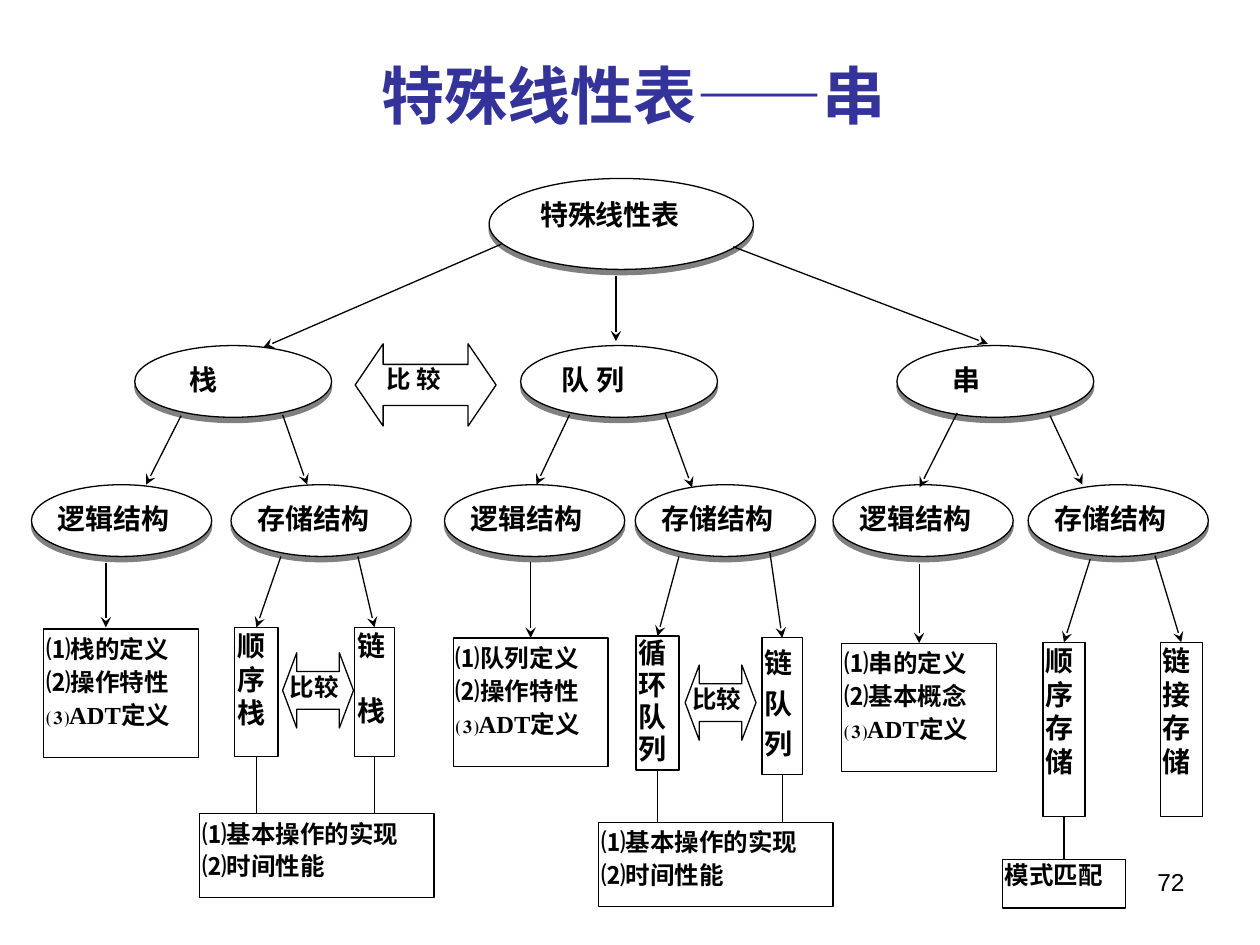
from lxml.etree import SubElement
from pptx import Presentation
from pptx.dml.color import RGBColor
from pptx.enum.shapes import MSO_CONNECTOR, MSO_SHAPE
from pptx.enum.text import MSO_ANCHOR, PP_ALIGN
from pptx.oxml.ns import qn
from pptx.util import Pt

BLACK = RGBColor(0, 0, 0)
WHITE = RGBColor(255, 255, 255)
GREY = RGBColor(0x80, 0x80, 0x80)
INDIGO = RGBColor(0x33, 0x33, 0x99)
SERIF, SANS = "Times New Roman", "Arial"
TOP, BOTTOM = 0, 2
BOX_INSETS = (1.5, 0.75, 1.5, 0.75)
SUBTREES = [
    {   # stack
        "topic": ("栈", 77, 8),
        "branches": [((103.5, 237.5), (83.5, 277)), ((161.5, 237), (175.5, 277))],
        "logic_x": 18, "storage_x": 132,
        "definition": (25, 359.5, ["⑴栈的定义", "⑵操作特性", "⑶ADT定义"]),
        "definition_arrow": ((60.5, 322), (60.5, 358.5)),
        "kinds": [(["顺序栈"], (134, 358.5, 25, 74), 1, (160.5, 318)),
                  (["链", "栈"], (202.5, 358.5, 23, 74), 1, (204.5, 318))],
        "compare": (161.5, 373), "summary": (114, 465),
    },
    {   # queue
        "topic": ("队 列", 297.5, 0),
        "branches": [((325.5, 237), (306.5, 277)), ((380, 236), (395.5, 278.5))],
        "logic_x": 254, "storage_x": 363,
        "definition": (259, 364.5, ["⑴队列定义", "⑵操作特性", "⑶ADT定义"]),
        "definition_arrow": ((303.25, 321), None),
        "kinds": [(["循环队列"], (363.5, 363.5, 24.5, 76.5), 0.96, (388, 318)),
                  (["链队列"], (435.5, 364.5, 23, 78), 1.2, (440, 316))],
        "compare": (391.5, 380), "summary": (342, 470),
    },
    {   # string
        "topic": ("串", 512.5, 8),
        "branches": [((547, 236), (525.5, 278.5)), ((600, 237.5), (618.5, 277))],
        "logic_x": 476, "storage_x": 587.5,
        "definition": (481, 367.5, ["⑴串的定义", "⑵基本概念", "⑶ADT定义"]),
        "definition_arrow": ((525.25, 322.5), None),
        "kinds": [(["顺序存储"], (596, 367, 24, 99.5), 1, (623, 319.5)),
                  (["链接存储"], (663, 367, 24, 99.5), 1, (660, 317.5))],
    },
]


def add_shadow(effects, distance, degrees):
    shadow = SubElement(effects, qn("a:outerShdw"), blurRad="0",
                        dist=str(Pt(distance)), dir=str(degrees * 60000),
                        algn="ctr", rotWithShape="0")
    SubElement(shadow, qn("a:srgbClr"), val=str(GREY))


def write(sp, lines, size, insets, font=SERIF, color=BLACK, bold=True,
          align=PP_ALIGN.JUSTIFY, spacing=1, gap=0, indent=0):
    tf = sp.text_frame
    tf.word_wrap = True
    tf.vertical_anchor = MSO_ANCHOR.TOP
    tf.margin_left, tf.margin_top, tf.margin_right, tf.margin_bottom = map(Pt, insets)
    for i, line in enumerate(lines):
        p = tf.add_paragraph() if i else tf.paragraphs[0]
        p.alignment = align
        p.line_spacing = spacing
        if indent:
            p._p.get_or_add_pPr().set("marL", str(Pt(indent)))
        if i and gap:
            p.space_before = Pt(gap)
        r = p.add_run()
        r.text = line
        r.font.size = Pt(size)
        r.font.bold = bold
        r.font.color.rgb = color
        r.font.name = font


def add_outlined(s, preset, box, filled=True):
    sp = s.shapes.add_shape(preset, *map(Pt, box))
    sp.shadow.inherit = False
    if filled:
        sp.fill.solid()
        sp.fill.fore_color.rgb = WHITE
    else:
        sp.fill.background()
    sp.line.color.rgb = BLACK
    sp.line.width = Pt(0.75)
    return sp


def add_node(s, text, box, side_inset=0, indent=0):
    sp = add_outlined(s, MSO_SHAPE.OVAL, box)
    add_shadow(sp._element.spPr.find(qn("a:effectLst")), 3, 90)
    write(sp, [text], 16, (side_inset, 3.6, side_inset, 3.6), indent=indent)


def add_box(s, lines, box, size=14, filled=True, **style):
    sp = add_outlined(s, MSO_SHAPE.RECTANGLE, box, filled)
    write(sp, lines, size, BOX_INSETS, **style)
    return sp


def add_compare(s, text, box, head, insets=(0, 0, 0, 0)):
    sp = add_outlined(s, MSO_SHAPE.LEFT_RIGHT_ARROW, box)
    sp.adjustments[0] = 0.5
    sp.adjustments[1] = head
    write(sp, [text], 14, insets)


def add_line(s, start=(0, 0), end=(0, 0), above=None, below=None, arrow=True):
    """Draw from start to end; a box given as above or below is joined instead."""
    line = s.shapes.add_connector(MSO_CONNECTOR.STRAIGHT, *map(Pt, start + end))
    if above:
        line.begin_connect(above, BOTTOM)
    if below:
        line.end_connect(below, TOP)
    line.line.color.rgb = BLACK
    line.line.width = Pt(0.75)
    SubElement(line._element.spPr, qn("a:effectLst"))
    if arrow:
        SubElement(line.line._get_or_add_ln(), qn("a:tailEnd"), type="stealth")


def add_title(s, text):
    sp = s.shapes.add_textbox(Pt(211), Pt(29), Pt(343.5), Pt(50))
    write(sp, [text], 36, (7.2, 3.6, 7.2, 3.6), color=INDIGO, align=PP_ALIGN.LEFT)
    rPr = sp.text_frame.paragraphs[0].runs[0].font._element
    effects = SubElement(rPr, qn("a:effectLst"))
    rPr.find(qn("a:latin")).addprevious(effects)
    add_shadow(effects, 2, 45)


def add_subtree(s, tree):
    """Draw one topic with its structures; return the boxes of its storage kinds."""
    text, x, indent = tree["topic"]
    add_node(s, text, (x, 197.5, 112.5, 41), 7.2, indent)
    add_node(s, "逻辑结构", (tree["logic_x"], 277, 103, 41))
    add_node(s, "存储结构", (tree["storage_x"], 277, 103, 41))
    for start, end in tree["branches"]:
        add_line(s, start, end)

    x, y, lines = tree["definition"]
    definition = add_box(s, lines, (x, y, 88.5, 73.5), spacing=1.12)
    start, end = tree["definition_arrow"]
    if end:
        add_line(s, start, end)
    else:
        add_line(s, start, below=definition)

    kinds = []
    for lines, box, spacing, start in tree["kinds"]:
        kind = add_box(s, lines, box, 16, spacing=spacing, gap=18)
        add_line(s, start, below=kind)
        kinds.append(kind)

    if "summary" in tree:
        add_compare(s, "比较", tree["compare"] + (40.5, 43), 0.2)
        x, y = tree["summary"]
        add_box(s, ["⑴基本操作的实现", "⑵时间性能"], (x, y, 134, 48),
                filled=False, spacing=1.12)
        for kind in kinds:
            center = (kind.left + kind.width / 2) / Pt(1)
            add_line(s, end=(center, y), above=kind, arrow=False)
    return kinds


def main():
    prs = Presentation()
    prs.slide_width, prs.slide_height = Pt(720), Pt(540)
    s = prs.slides.add_slide(prs.slide_layouts[6])
    add_title(s, "特殊线性表——串")

    add_node(s, "特殊线性表", (279.5, 102, 151, 52), 7.2)
    for start, end in [((286.5, 139.5), (150.5, 198.5)),
                       ((352, 157.5), (352, 195)),
                       ((419, 141), (564.5, 196.5))]:
        add_line(s, start, end)
    add_compare(s, "比 较", (203, 196.5, 80.5, 47), 0.34, (10, 0, 7.2, 0))

    for tree in SUBTREES:
        kinds = add_subtree(s, tree)
    matching = add_box(s, ["模式匹配"], (572.75, 491, 70.5, 28))
    add_line(s, above=kinds[0], below=matching, arrow=False)

    number = s.shapes.add_textbox(Pt(516), Pt(492), Pt(168), Pt(37.5))
    write(number, ["72"], 14, (7.2, 3.6, 7.2, 3.6), font=SANS, bold=False,
          align=PP_ALIGN.RIGHT)
    prs.save("out.pptx")


if __name__ == "__main__":
    main()
